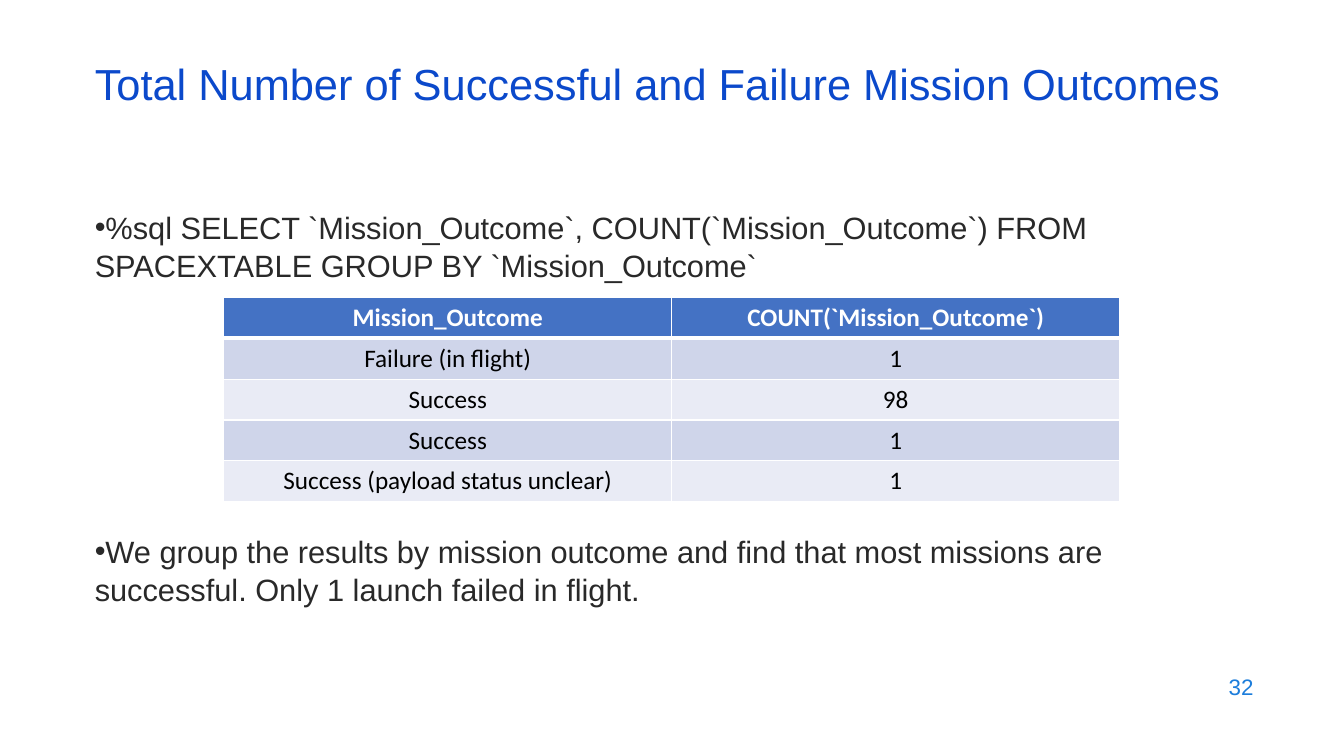
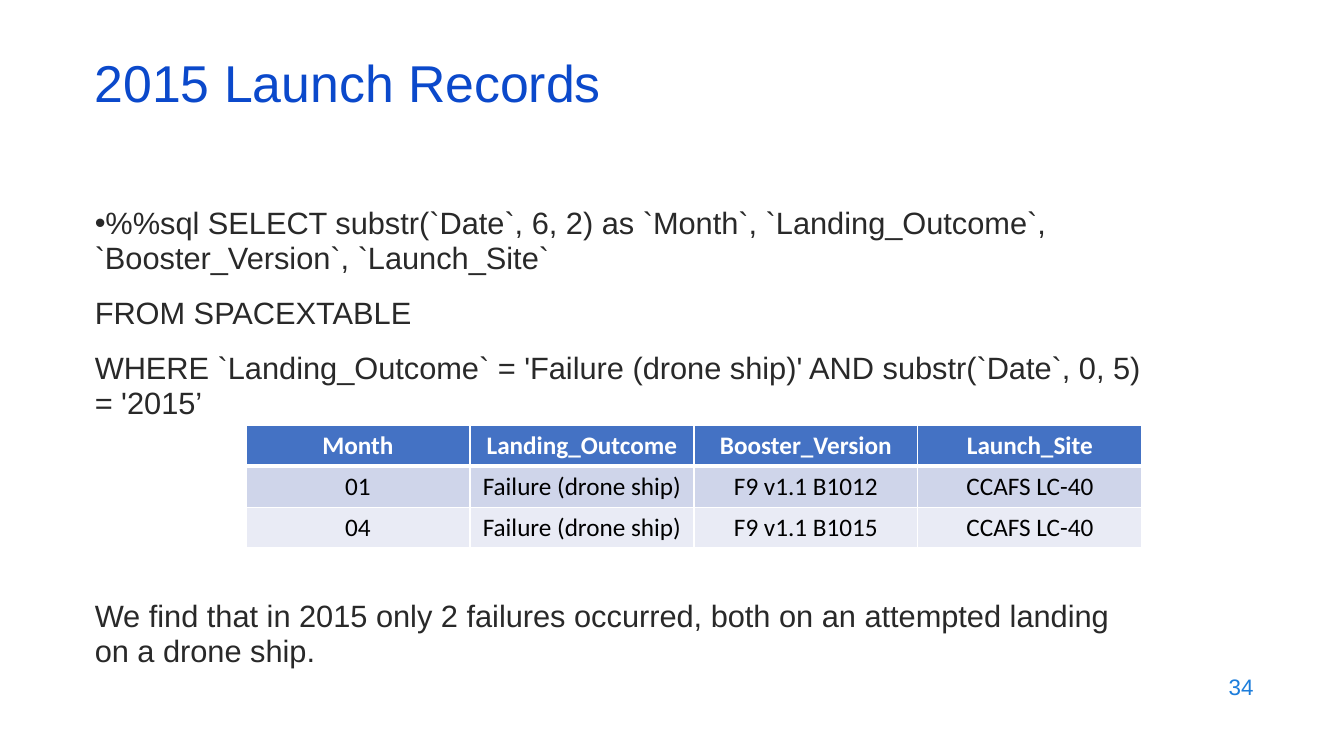
from lxml import etree
from pptx import Presentation
from pptx.dml.color import RGBColor
from pptx.enum.text import MSO_ANCHOR, PP_ALIGN
from pptx.oxml.ns import qn
from pptx.util import Emu, Inches, Pt

LEFT, CENTER, RIGHT = PP_ALIGN.LEFT, PP_ALIGN.CENTER, PP_ALIGN.RIGHT
TOP, MIDDLE = MSO_ANCHOR.TOP, MSO_ANCHOR.MIDDLE

GRID_COLUMNS, GRID_ROWS = 160, 90
SLIDE_WIDTH, SLIDE_HEIGHT = Inches(13.333), Inches(7.5)

TITLE_AREA = (10.1, 7.1, 138, 7.2)
BODY_AREA = (10.1, 24, 127.9, 57.1)
NUMBER_AREA = (114.4, 79.1, 36, 5.3)
TABLE_WIDTH, TABLE_ROW = 106.67, 4.87

WHITE = "FFFFFF"
HEADER_FILL = "4472C4"
BAND_FILLS = ("CFD5EA", "E9EBF5")
TITLE_FONT = {"name": "Arial", "color": "0B49CB"}
BODY_FONT = {"name": "Arial", "size": Pt(22), "color": "292929"}
NUMBER_FONT = {"name": "Arial", "size": Pt(16), "color": "1C7DDB"}
HEADER_FONT = {"name": "Calibri", "size": Pt(18), "color": WHITE, "bold": True}
CELL_FONT = {"name": "Calibri", "size": Pt(18), "color": "000000", "bold": False}

SLIDES = (
    {
        "number": "32",
        "title": "Total Number of Successful and Failure Mission Outcomes",
        "title_size": 31,
        "line_spacing": 1.05,
        "body": (
            ("%sql SELECT `Mission_Outcome`, COUNT(`Mission_Outcome`) FROM "
             "SPACEXTABLE GROUP BY `Mission_Outcome`", True, 0),
            ("We group the results by mission outcome and find that most missions are "
             "successful. Only 1 launch failed in flight.", True, 176),
        ),
        "table_at": (26.64, 35.4),
        "rows": (
            ("Mission_Outcome", "COUNT(`Mission_Outcome`)"),
            ("Failure (in flight)", "1"),
            ("Success", "98"),
            ("Success", "1"),
            ("Success (payload status unclear)", "1"),
        ),
    },
    {
        "number": "34",
        "title": "2015 Launch Records",
        "title_size": 37,
        "line_spacing": 0.95,
        "body": (
            ("%%sql SELECT substr(`Date`, 6, 2) as `Month`, `Landing_Outcome`, "
             "`Booster_Version`, `Launch_Site`", True, 0),
            ("FROM SPACEXTABLE", False, 14),
            ("WHERE `Landing_Outcome` = 'Failure (drone ship)' AND "
             "substr(`Date`, 0, 5) = '2015’", False, 14),
            ("We find that in 2015 only 2 failures occurred, both on an attempted "
             "landing on a drone ship.", False, 127),
        ),
        "table_at": (29.28, 50.64),
        "rows": (
            ("Month", "Landing_Outcome", "Booster_Version", "Launch_Site"),
            ("01", "Failure (drone ship)", "F9 v1.1 B1012", "CCAFS LC-40"),
            ("04", "Failure (drone ship)", "F9 v1.1 B1015", "CCAFS LC-40"),
        ),
    },
)


def across(columns):
    return Emu(round(SLIDE_WIDTH * columns / GRID_COLUMNS))


def down(rows):
    return Emu(round(SLIDE_HEIGHT * rows / GRID_ROWS))


def place(left, top, width, height):
    return across(left), down(top), across(width), down(height)


def rgb(value):
    return RGBColor.from_string(value)


def set_font(font, values):
    for name, value in values.items():
        if name == "color":
            font.color.rgb = rgb(value)
        else:
            setattr(font, name, value)


def write(para, text, font, **layout):
    for name, value in layout.items():
        setattr(para, name, value)
    span = para.add_run()
    span.text = text
    set_font(span.font, font)


def add_bullet(para):
    properties = para._p.get_or_add_pPr()
    properties.set("marL", "0")
    properties.set("indent", "0")
    etree.SubElement(properties, qn("a:buFont"), typeface="Arial")
    etree.SubElement(properties, qn("a:buChar"), char="•")


def add_box(page, area, anchor):
    frame = page.shapes.add_textbox(*place(*area)).text_frame
    frame.word_wrap = True
    frame.vertical_anchor = anchor
    return frame


def add_line(page, area, text, font, **layout):
    frame = add_box(page, area, MIDDLE)
    write(frame.paragraphs[0], text, font, **layout)


def add_body(page, paragraphs, line_spacing):
    frame = add_box(page, BODY_AREA, TOP)
    for index, (text, bulleted, gap) in enumerate(paragraphs):
        para = frame.add_paragraph() if index else frame.paragraphs[0]
        if bulleted:
            add_bullet(para)
        write(para, text, BODY_FONT, alignment=LEFT,
              line_spacing=line_spacing, space_before=Pt(gap))


def add_borders(cell, widths):
    properties = cell._tc.get_or_add_tcPr()
    for side, width in widths.items():
        line = etree.SubElement(properties, qn(f"a:ln{side}"), w=str(Pt(width)))
        fill = etree.SubElement(line, qn("a:solidFill"))
        etree.SubElement(fill, qn("a:srgbClr"), val=WHITE)


def format_cell(cell, text, row):
    add_borders(cell, {"L": 1, "R": 1, "T": 3 if row == 1 else 1, "B": 1 if row else 3})
    cell.fill.solid()
    cell.fill.fore_color.rgb = rgb(BAND_FILLS[(row - 1) % 2] if row else HEADER_FILL)
    cell.vertical_anchor = MIDDLE
    cell.margin_left = cell.margin_right = Inches(0.08)
    cell.margin_top = cell.margin_bottom = Inches(0.04)
    write(cell.text_frame.paragraphs[0], text, CELL_FONT if row else HEADER_FONT,
          alignment=CENTER)


def add_grid_table(page, corner, rows):
    area = place(*corner, TABLE_WIDTH, TABLE_ROW * len(rows))
    table = page.shapes.add_table(len(rows), len(rows[0]), *area).table
    table.first_row = table.horz_banding = False
    for row, texts in enumerate(rows):
        for column, text in enumerate(texts):
            format_cell(table.cell(row, column), text, row)


def add_page(deck, content):
    page = deck.slides.add_slide(deck.slide_layouts[6])
    add_line(page, NUMBER_AREA, content["number"], NUMBER_FONT, alignment=RIGHT)
    add_body(page, content["body"], content["line_spacing"])
    title_font = {**TITLE_FONT, "size": Pt(content["title_size"])}
    add_line(page, TITLE_AREA, content["title"], title_font, alignment=LEFT, line_spacing=0.7)
    add_grid_table(page, content["table_at"], content["rows"])


def main():
    deck = Presentation()
    deck.slide_width, deck.slide_height = SLIDE_WIDTH, SLIDE_HEIGHT
    for content in SLIDES:
        add_page(deck, content)
    deck.save("out.pptx")


if __name__ == "__main__":
    main()
